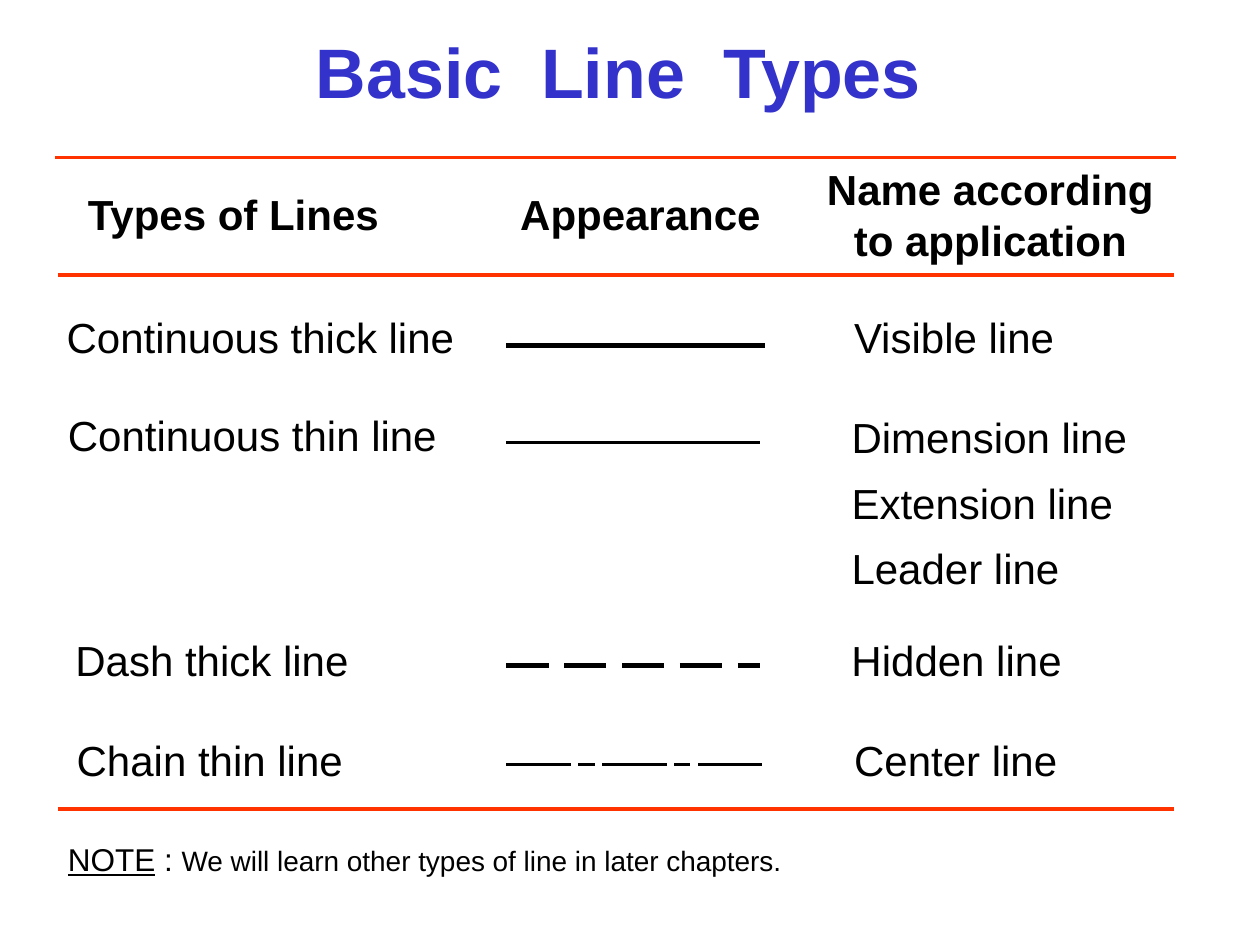
from lxml.etree import SubElement
from pptx import Presentation
from pptx.dml.color import RGBColor
from pptx.enum.dml import MSO_LINE
from pptx.enum.shapes import MSO_CONNECTOR
from pptx.enum.text import MSO_ANCHOR, MSO_AUTO_SIZE, PP_ALIGN
from pptx.oxml.ns import qn
from pptx.util import Inches, Pt

COLORS = {"title": "3333CC", "rule": "FF3300", "ink": "000000"}
FORMATS = {
    "title": {"size": Pt(40), "bold": True},
    "heading": {"size": Pt(24), "bold": True},
    "entry": {"size": Pt(24), "bold": False},
    "note label": {"size": Pt(18), "underline": True},
    "note colon": {"size": Pt(18), "underline": False},
    "note": {"size": Pt(16)},
}
THICK, THIN, RULE = 3, 1.5, 2.25
SAMPLE_LEFT = 4.02

# type, type box (left, width), names, names box (left, top offset, width, height),
# row top, sample offset, sample length, sample weight, sample pattern
ROWS = [
    ("Continuous thick line", (0.43, 3.28), ["Visible line"],
     (6.68, 0, 1.8, 0.5), 2.42, 0.32, 2.05, THICK, None),
    ("Continuous thin line", (0.44, 3.13),
     ["Dimension line", "Extension line", "Leader line"],
     (6.66, -0.1, 2.39, 1.66), 3.2, 0.31, 2.01, THIN, None),
    ("Dash thick line", (0.5, 2.37), ["Hidden line"],
     (6.66, 0, 1.87, 0.5), 4.99, 0.29, 2.01, THICK, MSO_LINE.LONG_DASH),
    ("Chain thin line", (0.51, 2.32), ["Center line"],
     (6.68, 0, 1.82, 0.5), 5.78, 0.29, 2.03, THIN, "chain"),
]


def add_run(paragraph, wording, style, color="ink"):
    run = paragraph.add_run()
    run.text = wording
    run.font.name = "Arial"
    run.font.color.rgb = RGBColor.from_string(COLORS[color])
    for attribute, value in FORMATS[style].items():
        setattr(run.font, attribute, value)


def add_label(slide, box, lines, align=PP_ALIGN.LEFT, spacing=1.0):
    """Place a text box; each line is a list of (wording, style) runs."""
    frame = slide.shapes.add_textbox(*map(Inches, box)).text_frame
    frame.word_wrap = False
    frame.auto_size = MSO_AUTO_SIZE.SHAPE_TO_FIT_TEXT
    for index, runs in enumerate(lines):
        paragraph = frame.add_paragraph() if index else frame.paragraphs[0]
        paragraph.alignment = align
        paragraph.line_spacing = spacing
        for wording, style in runs:
            add_run(paragraph, wording, style)


def add_line(slide, left, top, length, weight, color="ink", dash=None):
    line = slide.shapes.add_connector(
        MSO_CONNECTOR.STRAIGHT, Inches(left), Inches(top),
        Inches(left + length), Inches(top))
    line.line.color.rgb = RGBColor.from_string(COLORS[color])
    line.line.width = Pt(weight)
    if dash is not None:
        line.line.dash_style = dash
    SubElement(line._element.spPr, qn("a:effectLst"))


def add_chain(slide, left, top, length, weight):
    """Alternate long and short strokes: three long with two short between."""
    short, gap = 0.13, 0.06
    long = (length - 2 * short - 4 * gap) / 3
    for stroke in (long, short, long, short, long):
        add_line(slide, left, top, stroke, weight)
        left += stroke + gap


def add_title(slide, box):
    title = slide.shapes.title
    title.left, title.top, title.width, title.height = map(Inches, box)
    frame = title.text_frame
    frame.word_wrap = True
    frame.vertical_anchor = MSO_ANCHOR.MIDDLE
    paragraph = frame.paragraphs[0]
    paragraph.alignment = PP_ALIGN.CENTER
    add_run(paragraph, "Basic  Line  Types ", "title", "title")


def add_header(slide, left, top, width):
    add_line(slide, left - 0.02, top, width + 0.03, RULE, "rule")
    add_line(slide, left, top + 0.93, width, RULE, "rule")
    add_label(slide, (left + 0.14, top + 0.2, 2.53, 0.5),
              [[("Types of Lines", "heading")]])
    add_label(slide, (left + 3.57, top + 0.2, 2.11, 0.5),
              [[("Appearance", "heading")]])
    add_label(slide, (left + 6, top, 2.8, 0.9),
              [[("Name according", "heading")], [("to application", "heading")]],
              PP_ALIGN.CENTER)


def add_row(slide, line_type, type_box, names, names_box,
            top, sample_offset, length, weight, pattern):
    type_left, type_width = type_box
    add_label(slide, (type_left, top, type_width, 0.5), [[(line_type, "entry")]])
    sample = (SAMPLE_LEFT, top + sample_offset, length, weight)
    if pattern == "chain":
        add_chain(slide, *sample)
    else:
        add_line(slide, *sample, dash=pattern)
    names_left, names_offset, names_width, names_height = names_box
    add_label(slide, (names_left, top + names_offset, names_width, names_height),
              [[(name, "entry")] for name in names],
              spacing=1.3 if len(names) > 1 else 1.0)


def add_note(slide, box):
    add_label(slide, box, [[
        ("NOTE", "note label"), (" : ", "note colon"),
        ("We will learn other types of line in later chapters.", "note")]])


def main():
    deck = Presentation()
    deck.slide_width, deck.slide_height = Inches(10), Inches(7.5)
    slide = deck.slides.add_slide(deck.slide_layouts[5])
    add_title(slide, (0.28, 0.21, 9.41, 0.7))
    add_header(slide, 0.46, 1.25, 8.86)
    for row in ROWS:
        add_row(slide, *row)
    add_line(slide, 0.46, 6.42, 8.86, RULE, "rule")
    add_note(slide, (0.44, 6.62, 5.89, 0.4))
    deck.save("out.pptx")


if __name__ == "__main__":
    main()
